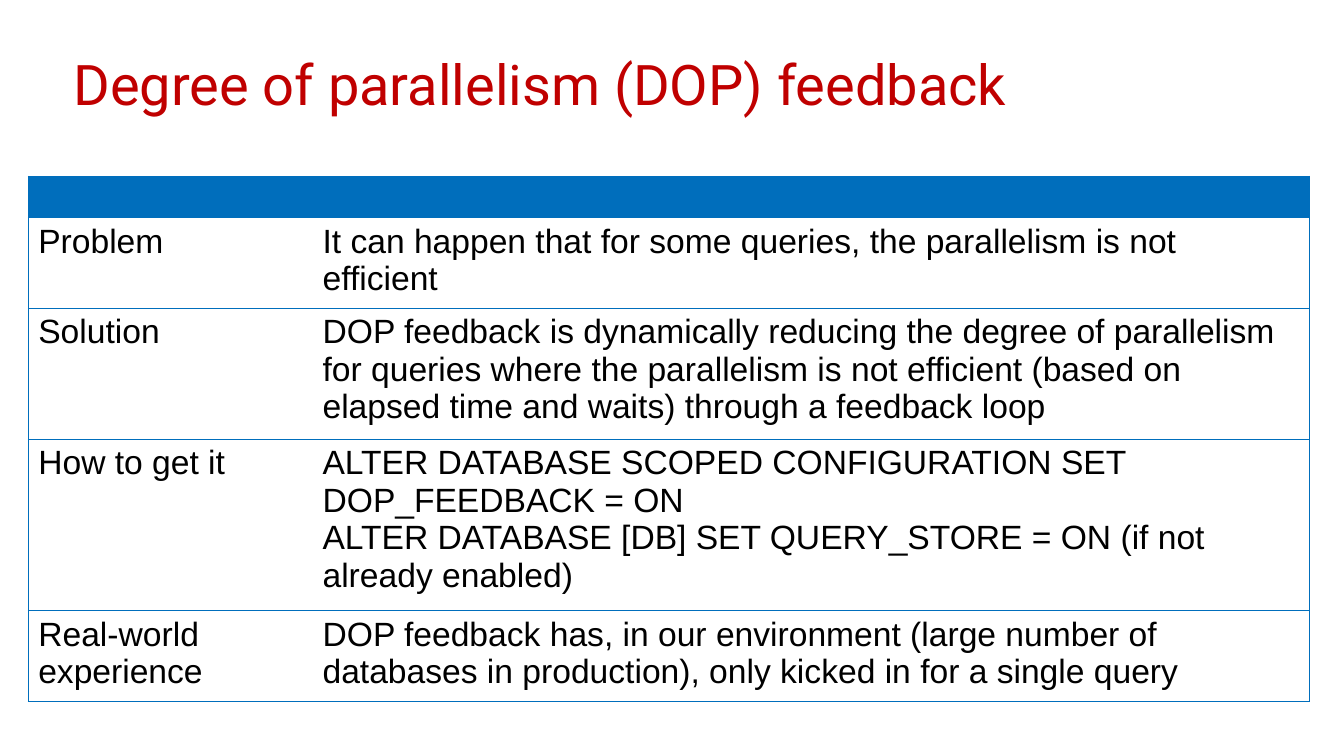
from lxml import etree
from pptx import Presentation
from pptx import util as u
from pptx.dml.color import RGBColor
from pptx.enum import text
from pptx.oxml.ns import qn

BLUE, RED, BLACK, WHITE = "006EBC", "C00000", "000000", "FFFFFF"
ROW_H = 0.41  # least height, rows grow with their text
COL_WIDTHS = (2.82, 9.89)
# Label, paragraphs
ROWS = [
    ("Problem", ["It can happen that for some queries, the parallelism is not efficient"]),
    ("Solution", ["DOP feedback is dynamically reducing the degree of parallelism for queries "
                  "where the parallelism is not efficient (based on elapsed time and waits) "
                  "through a feedback loop"]),
    ("How to get it", ["ALTER DATABASE SCOPED CONFIGURATION SET DOP_FEEDBACK = ON",
                       "ALTER DATABASE [DB] SET QUERY_STORE = ON (if not already enabled)"]),
    ("Real-world experience", ["DOP feedback has, in our environment (large number of databases "
                               "in production), only kicked in for a single query"]),
]


def color(hex_text):
    return RGBColor.from_string(hex_text)


def write(p, words, size=24, font="Arial", fill=BLACK):
    r = p.add_run()
    r.text = words
    r.font.size = u.Pt(size)
    r.font.name = font
    r.font.bold = False
    r.font.color.rgb = color(fill)


def set_borders(cell, visible):
    """Draw the named sides in blue and hide the others."""
    tcPr = cell._tc.get_or_add_tcPr()
    for i, side in enumerate(("L", "R", "T", "B")):
        ln = etree.Element(qn(f"a:ln{side}"), w=str(u.Pt(0.75)))
        if side in visible:
            fill = etree.SubElement(ln, qn("a:solidFill"))
            etree.SubElement(fill, qn("a:srgbClr"), val=BLUE)
        else:
            etree.SubElement(ln, qn("a:noFill"))
        tcPr.insert(i, ln)


def add_title(slide, words, x, y, w, h):
    tf = slide.shapes.add_textbox(*map(u.Inches, (x, y, w, h))).text_frame
    tf.word_wrap = True
    tf.vertical_anchor = text.MSO_ANCHOR.MIDDLE
    write(tf.paragraphs[0], words, size=40, font="Roboto", fill=RED)


def add_summary_table(slide, x, y, h):
    box = map(u.Inches, (x, y, sum(COL_WIDTHS), h))
    frame = slide.shapes.add_table(len(ROWS) + 1, len(COL_WIDTHS), *box)
    table = frame.table
    table.horz_banding = False
    for column, width in zip(table.columns, COL_WIDTHS):
        column.width = u.Inches(width)
    for row in table.rows:
        row.height = u.Inches(ROW_H)
    frame.height = u.Inches(h)

    # Fills and outer and row borders
    for i, row in enumerate(table.rows):
        for cell, outer in zip(row.cells, "LR"):
            cell.fill.solid()
            cell.fill.fore_color.rgb = color(WHITE if i else BLUE)
            set_borders(cell, outer + "TB")

    # Text
    for i, (label, paragraphs) in enumerate(ROWS, 1):
        for j, lines in enumerate(([label], paragraphs)):
            tf = table.cell(i, j).text_frame
            for n, line in enumerate(lines):
                write(tf.add_paragraph() if n else tf.paragraphs[0], line)


def main():
    prs = Presentation()
    prs.slide_width, prs.slide_height = u.Inches(13.33), u.Inches(7.5)
    slide = prs.slides.add_slide(prs.slide_layouts[6])
    add_title(slide, "Degree of parallelism (DOP) feedback", 0.63, 0.2, 12.04, 1.25)
    add_summary_table(slide, 0.28, 1.75, 4.01)
    prs.save("out.pptx")


if __name__ == "__main__":
    main()
